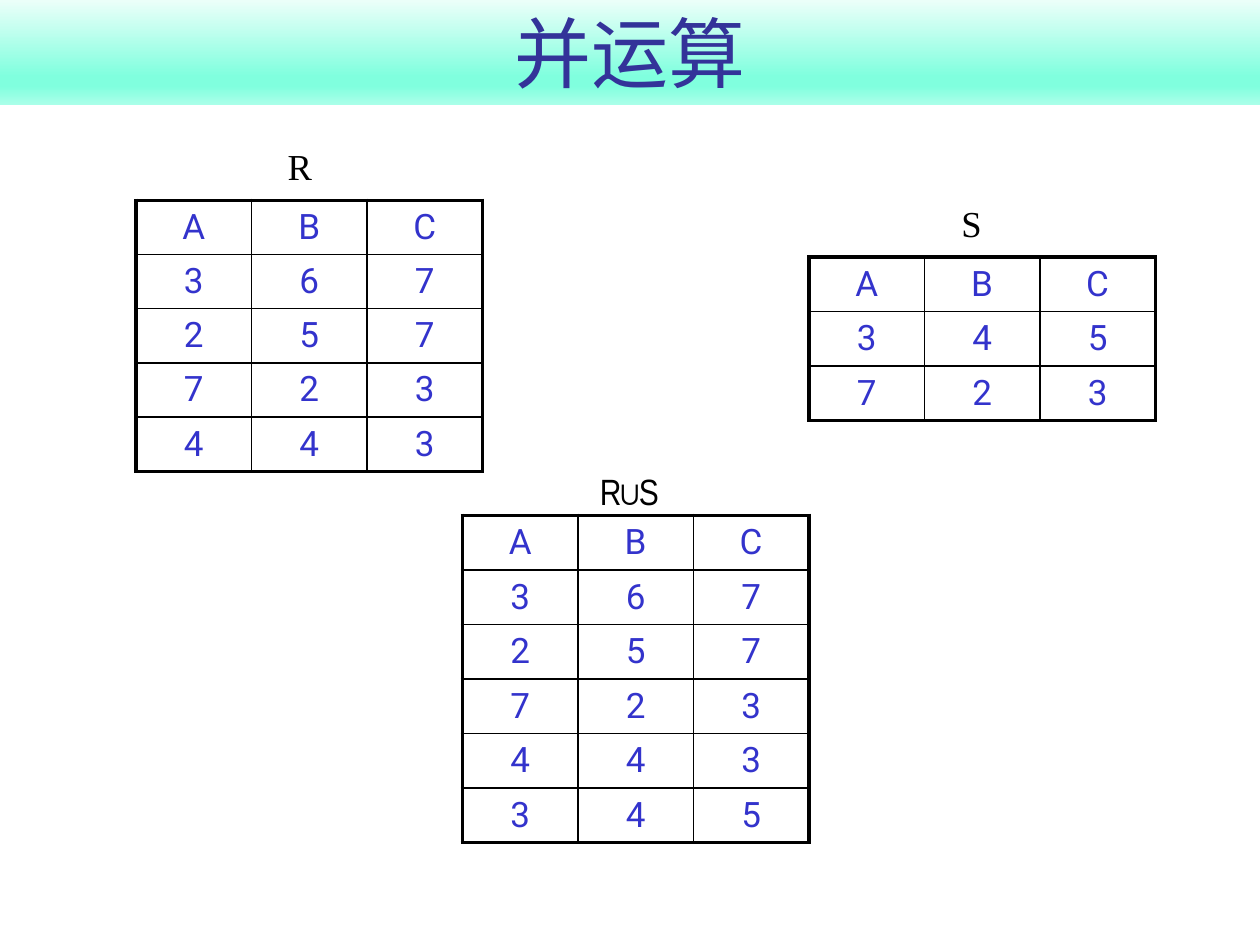
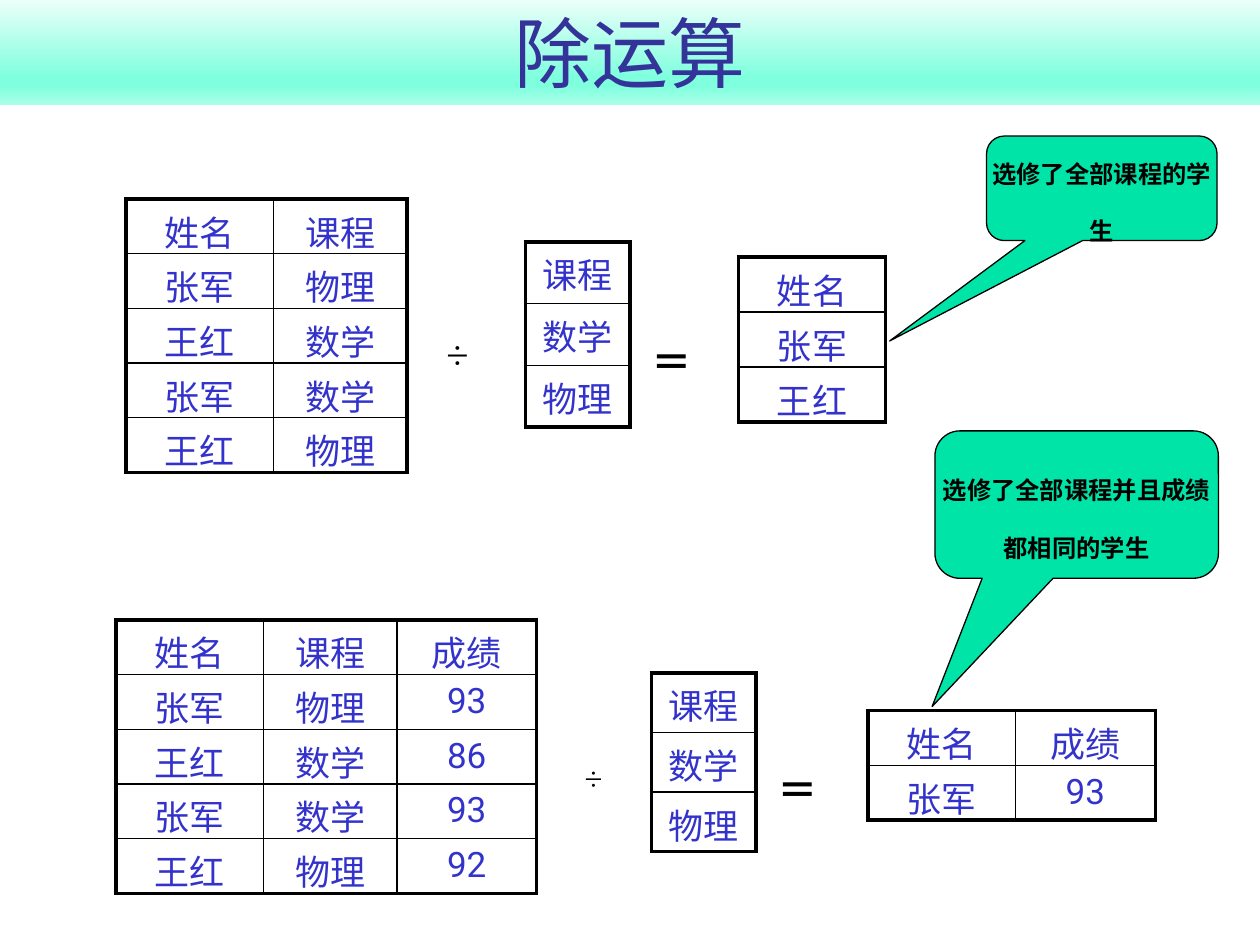
from copy import deepcopy

from lxml import etree
from pptx import Presentation
from pptx import util as u
from pptx.dml.color import RGBColor
from pptx.enum import shapes, text
from pptx.oxml import ns

WHITE = RGBColor(0xFF, 0xFF, 0xFF)
BLACK = RGBColor(0, 0, 0)
TITLE_BLUE = RGBColor(0x33, 0x33, 0x99)
CELL_BLUE = RGBColor(0x33, 0x33, 0xCC)
CALLOUT_GREEN = RGBColor(0x00, 0xE4, 0xA8)
BAND_STOPS = [
    (0, RGBColor(0xF1, 0xFF, 0xFB)),
    (0.74, RGBColor(0x80, 0xFF, 0xDE)),
    (0.83, RGBColor(0x80, 0xFF, 0xDE)),
    (1, RGBColor(0xAA, 0xFF, 0xE9)),
]
SANS, SERIF, NARROW, CJK = "Roboto", "Times New Roman", "Arial Narrow", "Noto Sans CJK JP"
NAME, COURSE, GRADE = 1.17, 1.06, 1.11
THIRDS = [2.75 / 3] * 3
MIDDLE, TOP = text.MSO_ANCHOR.MIDDLE, text.MSO_ANCHOR.TOP

SLIDES = [
    {
        "title": "并运算",
        "anchor": MIDDLE,
        "tables": [
            (1.08, 1.59, 2.15, THIRDS, ["A B C", "3 6 7", "2 5 7", "7 2 3", "4 4 3"]),
            (6.42, 2.04, 1.3, THIRDS, ["A B C", "3 4 5", "7 2 3"]),
            (3.67, 4.09, 2.6, THIRDS,
             ["A B C", "3 6 7", "2 5 7", "7 2 3", "4 4 3", "3 4 5"]),
        ],
        "labels": [
            ("R", (1.92, 0.76, 0.92, 0.7), 36, SERIF, False),
            ("S", (7.25, 1.21, 0.92, 0.7), 36, SERIF, False),
            ("R∪S", (4.33, 3.34, 1.33, 0.7), 36, NARROW, False),
        ],
        "callouts": [],
    },
    {
        "title": "除运算",
        "anchor": TOP,
        "tables": [
            (1, 1.58, 2.17, [NAME, COURSE],
             ["姓名 课程", "张军 物理", "王红 数学", "张军 数学", "王红 物理"]),
            (4.17, 1.92, 1.47, [0.83], ["课程", "数学", "物理"]),
            (5.86, 2.04, 1.31, [NAME], ["姓名", "张军", "王红"]),
            (0.92, 4.92, 2.17, [NAME, COURSE, GRADE],
             ["姓名 课程 成绩", "张军 物理 93", "王红 数学 86",
              "张军 数学 93", "王红 物理 92"]),
            (5.17, 5.34, 1.42, [0.83], ["课程", "数学", "物理"]),
            (6.89, 5.64, 0.87, [NAME, GRADE], ["姓名 成绩", "张军 93"]),
        ],
        "labels": [
            ("÷", (3.42, 2.19, 0.42, 0.77), 40, SERIF, False),
            ("＝", (5, 2.25, 0.67, 0.77), 40, SERIF, True),
            ("÷", (4.5, 5.67, 0.42, 0.63), 32, SERIF, False),
            ("＝", (6, 5.65, 0.67, 0.77), 40, SERIF, True),
        ],
        "callouts": [
            ("选修了全部课程并且成绩都相同的学生", (7.42, 3.42, 2.25, 1.17), (-0.51, 1.37, 0.17)),
            ("选修了全部课程的学生", (7.83, 1.08, 1.83, 0.83), (-0.92, 1.46, 0.17)),
        ],
    },
]


def inches(values):
    return [u.Inches(value) for value in values]


def write(frame, content, *, size, font, color, bold=False, before=0, lowered=False):
    paragraph = frame.paragraphs[0]
    paragraph.alignment = text.PP_ALIGN.CENTER
    if before:
        paragraph.space_before = u.Pt(size * before)
    run = paragraph.add_run()
    run.text = content
    run.font.size = u.Pt(size)
    run.font.name = font
    run.font.bold = bold
    run.font.color.rgb = color
    properties = run._r.get_or_add_rPr()
    if lowered:
        properties.set("baseline", "-25000")
    etree.SubElement(properties, ns.qn("a:ea"), typeface=CJK)


def add_band(slide, title):
    band = slide.shapes.add_shape(
        shapes.MSO_SHAPE.RECTANGLE, *inches((0, -0.03, 10, 0.86)))
    band.shadow.inherit = False
    band.line.fill.background()
    band.fill.gradient()
    band.fill.gradient_angle = 270
    stop_list = band._element.spPr.find(".//" + ns.qn("a:gsLst"))
    for stop in list(stop_list):
        stop_list.append(deepcopy(stop))
    for stop, (position, color) in zip(band.fill.gradient_stops, BAND_STOPS):
        stop.position = position
        stop.color.rgb = color
    band.text_frame.word_wrap = True
    band.text_frame.vertical_anchor = text.MSO_ANCHOR.BOTTOM
    write(band.text_frame, title, size=44, font=SANS, color=TITLE_BLUE)


def set_border(cell, side, points):
    line = etree.SubElement(
        cell._tc.get_or_add_tcPr(), ns.qn("a:ln" + side), w=str(u.Pt(points)))
    fill = etree.SubElement(line, ns.qn("a:solidFill"))
    etree.SubElement(fill, ns.qn("a:srgbClr"), val=str(BLACK))


def add_grid(slide, left, top, height, widths, lines, anchor):
    rows = [line.split() for line in lines]
    last_row, last_column = len(rows) - 1, len(widths) - 1
    table = slide.shapes.add_table(
        len(rows), len(widths), *inches((left, top, sum(widths), height))).table
    table.first_row = table.horz_banding = False
    for column, width in zip(table.columns, widths):
        column.width = u.Inches(width)
    for i, row in enumerate(rows):
        table.rows[i].height = u.Inches(height / len(rows))
        for j, value in enumerate(row):
            cell = table.cell(i, j)
            edges = {"L": j == 0, "R": j == last_column, "T": i == 0, "B": i == last_row}
            for side, outer in edges.items():
                set_border(cell, side, 2.25 if outer else 1)
            cell.fill.background()
            cell.vertical_anchor = anchor
            if anchor == TOP:
                cell.margin_bottom = 0
            write(cell.text_frame, value, size=20, font=SANS, color=CELL_BLUE)


def add_label(slide, content, box, size, font, bold):
    frame = slide.shapes.add_textbox(*inches(box)).text_frame
    frame.word_wrap = True
    write(frame, content, size=size, font=font, color=BLACK, bold=bold,
          before=0.5, lowered=True)


def add_callout(slide, content, box, adjustments):
    callout = slide.shapes.add_shape(
        shapes.MSO_SHAPE.ROUNDED_RECTANGULAR_CALLOUT, *inches(box))
    for i, value in enumerate(adjustments):
        callout.adjustments[i] = value
    callout.shadow.inherit = False
    callout.fill.solid()
    callout.fill.fore_color.rgb = CALLOUT_GREEN
    callout.line.color.rgb = BLACK
    callout.line.width = u.Pt(0.75)
    frame = callout.text_frame
    frame.word_wrap = True
    frame.vertical_anchor = MIDDLE
    frame.margin_left = frame.margin_right = frame.margin_top = frame.margin_bottom = 0
    write(frame, content, size=24, font=CJK, color=BLACK, bold=True,
          before=0.6, lowered=True)


def main():
    presentation = Presentation()
    presentation.slide_width, presentation.slide_height = inches((10, 7.5))
    for content in SLIDES:
        slide = presentation.slides.add_slide(presentation.slide_layouts[6])
        slide.background.fill.solid()
        slide.background.fill.fore_color.rgb = WHITE
        add_band(slide, content["title"])
        for table in content["tables"]:
            add_grid(slide, *table, content["anchor"])
        for label in content["labels"]:
            add_label(slide, *label)
        for callout in content["callouts"]:
            add_callout(slide, *callout)
    presentation.save("out.pptx")


if __name__ == "__main__":
    main()
